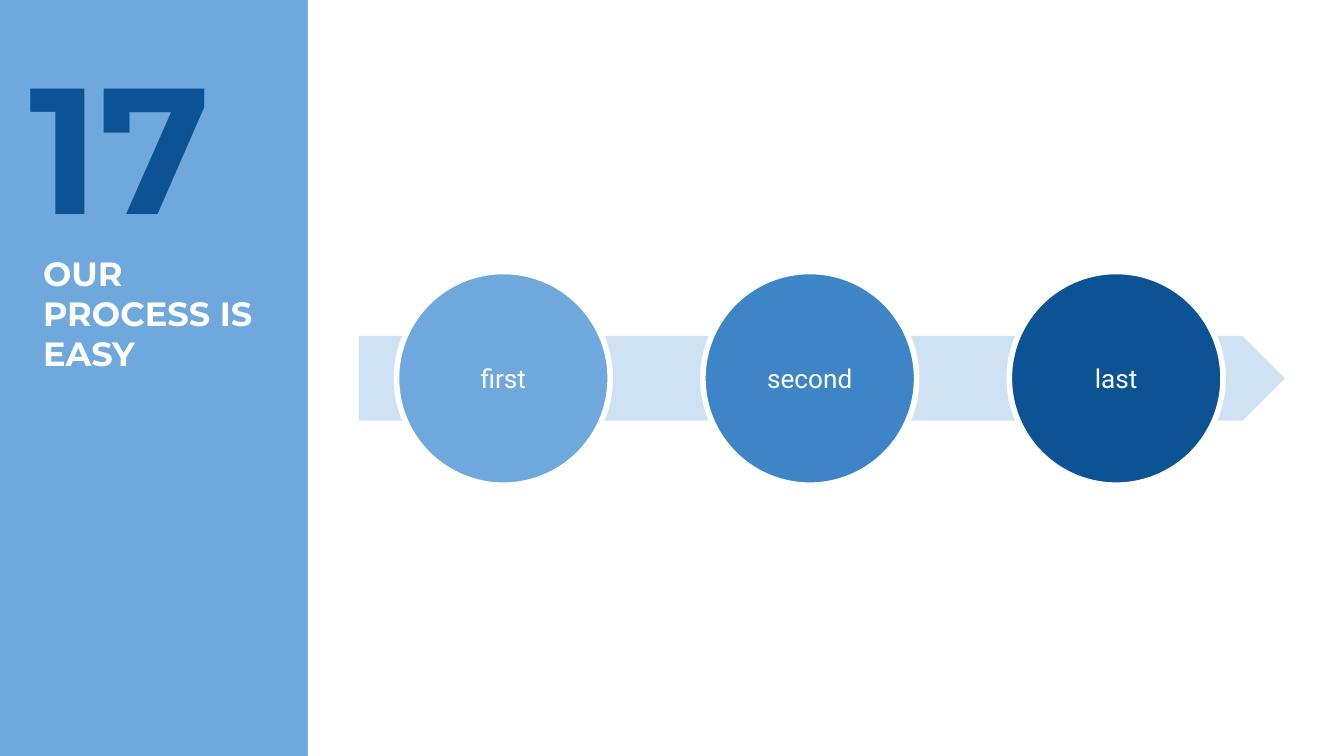
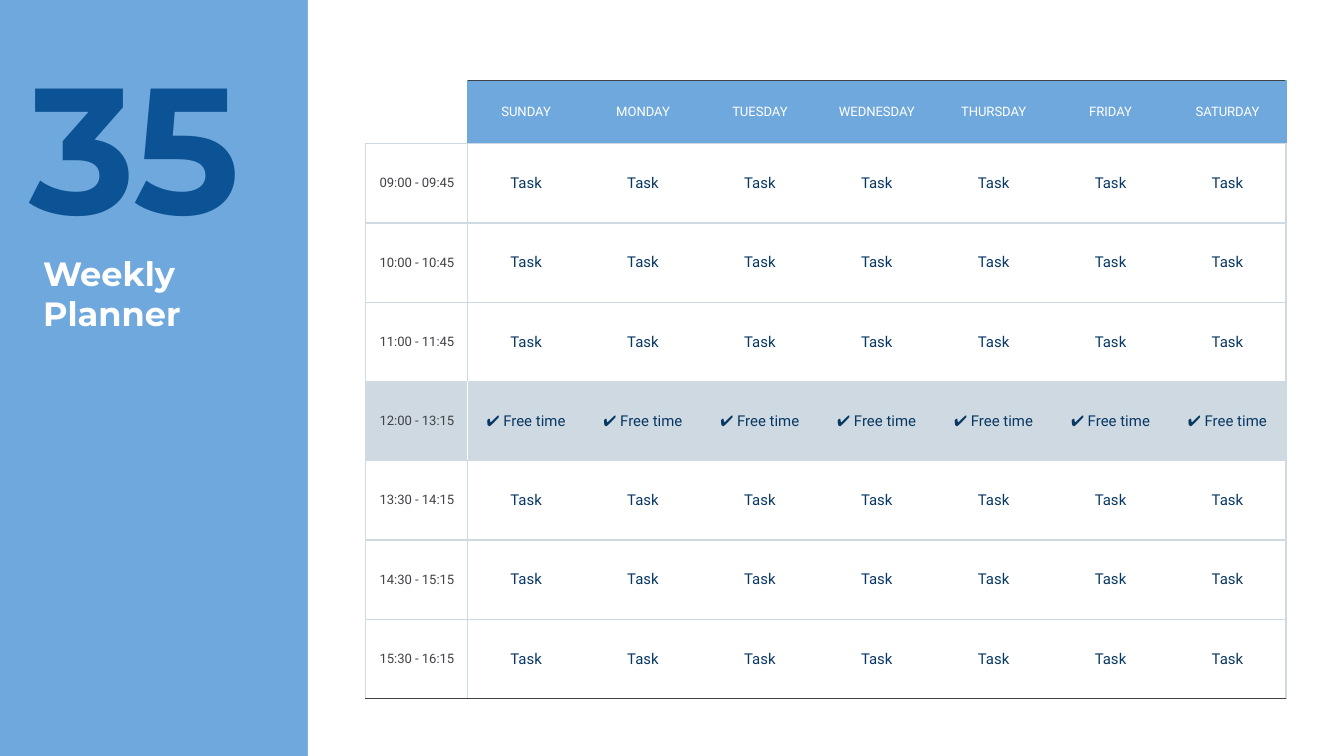
from lxml import etree
from pptx import Presentation
from pptx.dml.color import RGBColor
from pptx.enum.shapes import MSO_SHAPE
from pptx.enum.text import MSO_ANCHOR, MSO_AUTO_SIZE, PP_ALIGN
from pptx.oxml.ns import qn
from pptx.util import Inches, Pt

RECTANGLE, ELLIPSE, ARROW = MSO_SHAPE.RECTANGLE, MSO_SHAPE.OVAL, MSO_SHAPE.PENTAGON
TOP, MIDDLE = MSO_ANCHOR.TOP, MSO_ANCHOR.MIDDLE
LEFT, CENTER, RIGHT = PP_ALIGN.LEFT, PP_ALIGN.CENTER, PP_ALIGN.RIGHT
NO_AUTOFIT = MSO_AUTO_SIZE.NONE

WHITE, SKY, BLUE, NAVY = "FFFFFF", "6FA8DC", "3D85C6", "0B5394"
PALE, GRID, DARK, INK = "CFE2F3", "CFD9E1", "3F4247", "073763"
HEADING_FONT, BODY_FONT = "Montserrat", "Roboto"
NO_STYLE = "{2D5ABB26-0587-4C30-8999-92F81FD0307C}"


def paint(fill, color):
    fill.solid()
    fill.fore_color.rgb = RGBColor.from_string(color)


def write(frame, text, *, holder=None, size, color, font=BODY_FONT, bold=False,
          align=LEFT, anchor=TOP, margin_left=0.1):
    holder = holder or frame
    holder.margin_left = Inches(margin_left)
    holder.margin_right = holder.margin_top = holder.margin_bottom = Inches(0.1)
    holder.vertical_anchor = anchor
    frame.word_wrap = True
    para = frame.paragraphs[0]
    para.alignment = align
    span = para.add_run()
    span.text = text
    span.font.name, span.font.size, span.font.bold = font, Pt(size), bold
    paint(span.font.fill, color)


deck = Presentation()
deck.slide_width = Inches(10)
deck.slide_height = deck.slide_width * 9 // 16

pages = []
for number, heading in [("17", "OUR PROCESS IS EASY"), ("35", "Weekly Planner")]:
    page = deck.slides.add_slide(deck.slide_layouts[5])
    pages.append(page)
    paint(page.background.fill, SKY)

    panel = page.shapes.add_shape(RECTANGLE, Inches(2.29), 0, Inches(7.71), deck.slide_height)
    panel.shadow.inherit = False
    paint(panel.fill, WHITE)
    panel.line.fill.background()
    page.shapes._spTree.insert(2, panel._element)

    title = page.shapes.title
    title.left, title.top = Inches(0.22), Inches(1.78)
    title.width, title.height = Inches(1.87), Inches(0.94)
    title.text_frame.auto_size = NO_AUTOFIT
    write(title.text_frame, heading, size=18, color=WHITE, font=HEADING_FONT, bold=True)

    box = page.shapes.add_textbox(Inches(0.12), Inches(0.16), Inches(1.98), Inches(1.37))
    write(box.text_frame, number, size=96, color=NAVY, font=HEADING_FONT, bold=True)

process, planner = pages

arrow = process.shapes.add_shape(ARROW, Inches(2.67), Inches(2.5), Inches(6.89), Inches(0.63))
arrow.shadow.inherit = False
paint(arrow.fill, PALE)
arrow.line.fill.background()

for index, (step, color) in enumerate([("first", SKY), ("second", BLUE), ("last", NAVY)]):
    circle = process.shapes.add_shape(
        ELLIPSE, Inches(2.95 + 2.28 * index), Inches(2.02), Inches(1.59), Inches(1.59))
    circle.shadow.inherit = False
    paint(circle.fill, color)
    paint(circle.line.fill, WHITE)
    circle.line.width = Pt(3)
    write(circle.text_frame, step, size=14, color=WHITE, align=CENTER, anchor=MIDDLE)

days = ["SUNDAY", "MONDAY", "TUESDAY", "WEDNESDAY", "THURSDAY", "FRIDAY", "SATURDAY"]
times = ["09:00 - 09:45", "10:00 - 10:45", "11:00 - 11:45", "12:00 - 13:15",
         "13:30 - 14:15", "14:30 - 15:15", "15:30 - 16:15"]
break_row = times.index("12:00 - 13:15") + 1
last_row, last_column = len(times), len(days)

rows = [[""] + days]
for row, time in enumerate(times, 1):
    rows.append([time] + ["✔ Free time" if row == break_row else "Task"] * len(days))

table = planner.shapes.add_table(
    len(rows), len(rows[0]), Inches(2.72), Inches(0.6), Inches(6.85), Inches(4.6)).table
table.first_row = table.horz_banding = False
table._tbl.tblPr.find(qn("a:tableStyleId")).text = NO_STYLE
for index, column in enumerate(table.columns):
    column.width = Inches(0.87 if index else 0.76)
for index, line in enumerate(table.rows):
    line.height = Inches(0.59 if index else 0.47)

for row, texts in enumerate(rows):
    for column, text in enumerate(texts):
        cell = table.cell(row, column)
        corner = row == 0 and column == 0
        edge = SKY if row == 0 else GRID
        divider = WHITE if row == break_row else edge

        borders = dict.fromkeys(["a:lnL", "a:lnR", "a:lnT", "a:lnB"])
        if column == 0 and row:
            borders["a:lnL"] = GRID
        elif column == 1:
            borders["a:lnL"] = divider
        if column == 0:
            borders["a:lnR"] = divider
        elif column == last_column:
            borders["a:lnR"] = edge
        if not corner:
            borders["a:lnT"] = GRID if row else DARK
        borders["a:lnB"] = DARK if row == last_row else GRID
        for side, color in borders.items():
            border = etree.SubElement(cell._tc.get_or_add_tcPr(), qn(side), w=str(Pt(0.75)))
            if color:
                solid = etree.SubElement(border, qn("a:solidFill"))
                etree.SubElement(solid, qn("a:srgbClr"), val=color)
            else:
                etree.SubElement(border, qn("a:noFill"))

        if row == break_row:
            paint(cell.fill, GRID)
        elif row == 0 and column:
            paint(cell.fill, SKY)
        else:
            cell.fill.background()

        if corner:
            continue
        if row == 0:
            look = {"size": 7, "color": WHITE, "align": CENTER}
        elif column == 0:
            look = {"size": 7, "color": DARK, "align": RIGHT, "margin_left": 0.05}
        else:
            look = {"size": 8, "color": INK, "align": CENTER}
        write(cell.text_frame, text, holder=cell, anchor=MIDDLE, **look)

deck.save("out.pptx")
